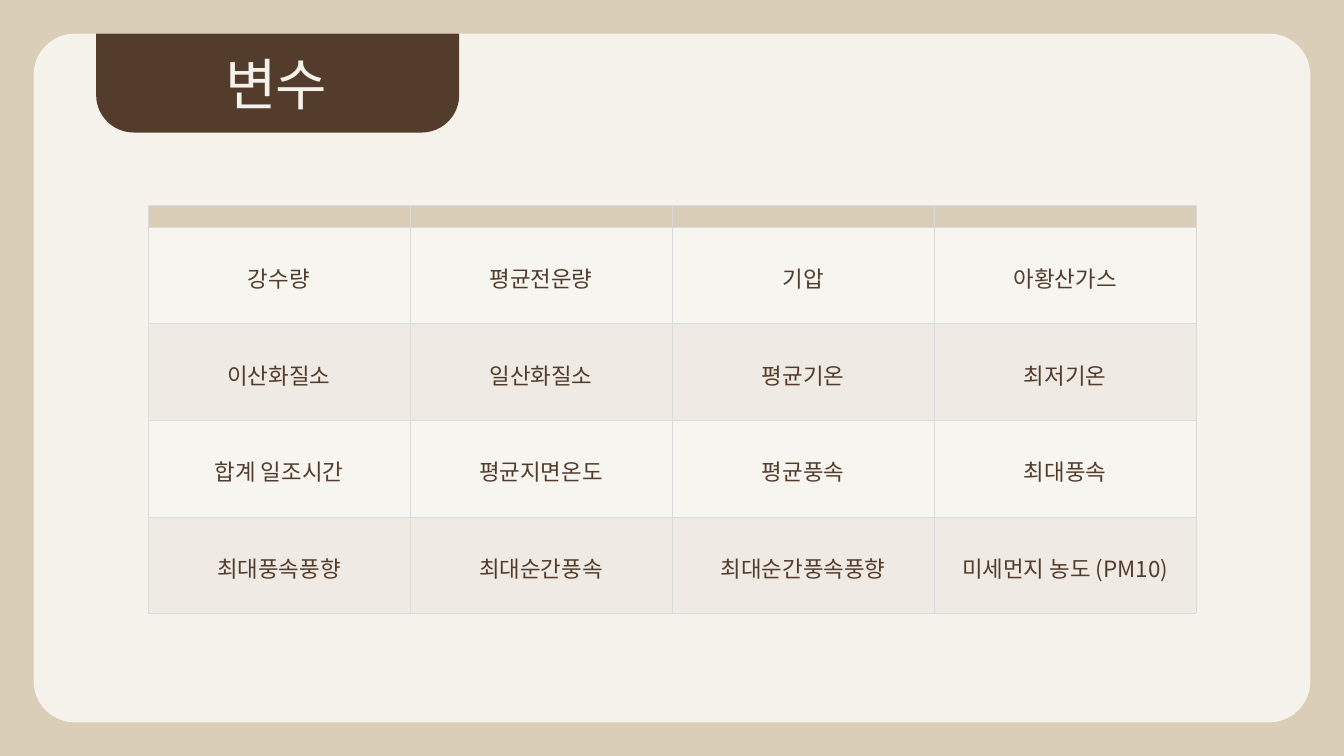
from dataclasses import dataclass

from lxml.etree import SubElement
from pptx import Presentation
from pptx.dml.color import RGBColor as Rgb
from pptx.enum.shapes import MSO_SHAPE as Shape
from pptx.enum.text import MSO_ANCHOR as Anchor, MSO_AUTO_SIZE as Fit, PP_ALIGN as Align
from pptx.oxml.ns import qn
from pptx.util import Pt


@dataclass(frozen=True)
class Theme:
    sand: str = "DACEB9"
    cream: str = "F5F1EB"
    brown: str = "533C2B"
    light: str = "F7F5F0"
    dark: str = "EFEBE4"
    rule: str = "DBDBDB"
    head: str = "Calibri"
    body: str = "Noto Sans CJK KR"
    big: int = 60
    small: int = 24


ROWS = [
    ["강수량", "평균전운량", "기압", "아황산가스"],
    ["이산화질소", "일산화질소", "평균기온", "최저기온"],
    ["합계 일조시간", "평균지면온도", "평균풍속", "최대풍속"],
    ["최대풍속풍향", "최대순간풍속", "최대순간풍속풍향", "미세먼지 농도 (PM10)"],
]


def paint(fill, color):
    fill.solid()
    fill.fore_color.rgb = Rgb.from_string(color)


def write(frame, text, *, font, size, color, lead=1.0, track=0):
    """Put centred text in a frame; track is letter spacing in points."""
    para = frame.paragraphs[0]
    para.alignment = Align.CENTER
    para.line_spacing = lead
    run = para.add_run()
    run.text = text
    run.font.size = Pt(size)
    run.font.name = font
    run.font.color.rgb = Rgb.from_string(color)
    props = run.font._element
    SubElement(props, qn("a:ea"), typeface=font)
    if track:
        props.set("spc", str(track * 100))


class Deck:
    def __init__(self, theme):
        self.theme = theme
        self.file = Presentation()
        self.file.slide_width, self.file.slide_height = Pt(1440), Pt(810)
        self.slide = self.file.slides.add_slide(self.file.slide_layouts[5])
        paint(self.slide.background.fill, theme.sand)

    def panel(self, kind, box, color, bends, turn=0):
        shape = self.slide.shapes.add_shape(kind, *map(Pt, box))
        shape.shadow.inherit = False
        paint(shape.fill, color)
        shape.line.fill.background()
        shape.rotation = turn
        for i, bend in enumerate(bends):
            shape.adjustments[i] = bend

    def title(self, text, box):
        shape = self.slide.shapes.title
        shape.left, shape.top, shape.width, shape.height = map(Pt, box)
        frame = shape.text_frame
        frame.auto_size = Fit.NONE
        frame.word_wrap = True
        frame.vertical_anchor = Anchor.MIDDLE
        frame.margin_left = frame.margin_right = 0
        frame.margin_top = frame.margin_bottom = 0
        look = self.theme
        write(frame, text, font=look.head, size=look.big, color=look.cream, track=-2)
        # The title lies above the tab drawn after it.
        self.slide.shapes._spTree.append(shape._element)

    def cell(self, cell, color, inset):
        """Give a cell its margins, thin borders and fill."""
        cell.margin_left = cell.margin_right = Pt(inset)
        cell.margin_top = cell.margin_bottom = Pt(inset)
        cell.vertical_anchor = Anchor.MIDDLE
        props = cell._tc.get_or_add_tcPr()
        for side in "LRTB":
            line = SubElement(props, qn(f"a:ln{side}"), w=str(Pt(0.25)))
            solid = SubElement(line, qn("a:solidFill"))
            SubElement(solid, qn("a:srgbClr"), val=self.theme.rule)
        paint(cell.fill, color)

    def table(self, rows, box, band):
        """Draw rows of equal height below an empty band."""
        look = self.theme
        count = len(rows[0])
        grid = self.slide.shapes.add_table(len(rows) + 1, count, *map(Pt, box)).table
        grid.first_row = grid.horz_banding = False
        for col in grid.columns:
            col.width = Pt(box[2] / count)
        for row in grid.rows:
            row.height = Pt((box[3] - band) / len(rows))
        grid.rows[0].height = Pt(band)
        for top in grid.rows[0].cells:
            self.cell(top, look.sand, 0)
            SubElement(top.text_frame.paragraphs[0]._p, qn("a:endParaRPr"), sz="800")
        for r, words in enumerate(rows, 1):
            for c, word in enumerate(words):
                cell = grid.cell(r, c)
                self.cell(cell, look.light if r % 2 else look.dark, 1.5)
                write(cell.text_frame, word, font=look.body, size=look.small,
                      color=look.brown, lead=1.16)


def main():
    look = Theme()
    deck = Deck(look)
    deck.panel(Shape.ROUNDED_RECTANGLE, (36, 36, 1368, 738), look.cream, [0.06])
    deck.table(ROWS, (158.4, 219.6, 1123.2, 437.5), 23.5)
    deck.panel(Shape.ROUND_2_SAME_RECTANGLE, (103, 36, 389, 106), look.brown,
               [0.38, 0], turn=180)
    deck.title("변수", (124, 44.6, 344, 89.3))
    deck.file.save("out.pptx")


if __name__ == "__main__":
    main()
